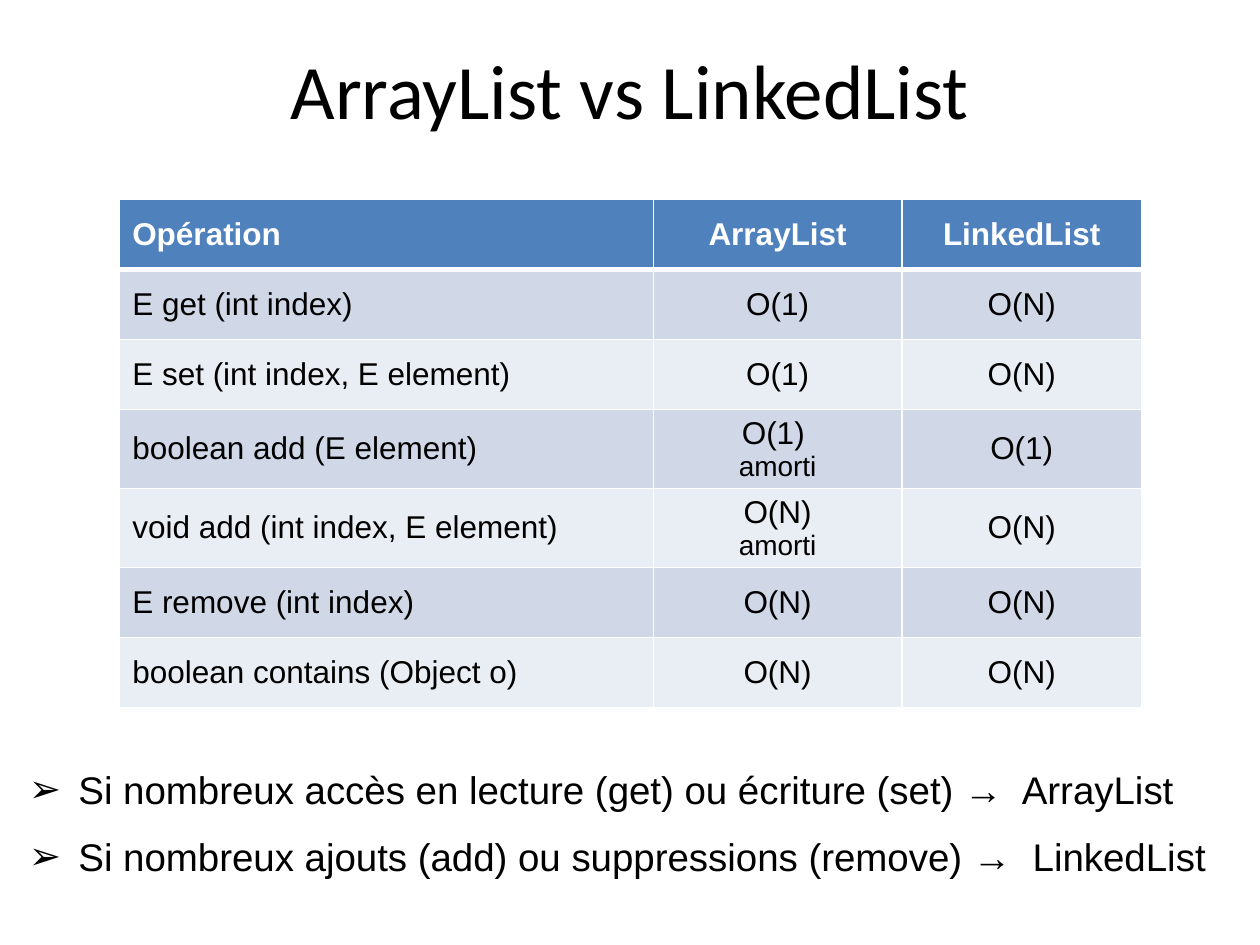
"""Build a slide that compares the costs of ArrayList and LinkedList."""
from dataclasses import dataclass

from lxml import etree
from pptx import Presentation
from pptx.dml.color import RGBColor
from pptx.enum.text import MSO_ANCHOR, MSO_AUTO_SIZE, PP_ALIGN
from pptx.oxml.ns import qn
from pptx.slide import Slide
from pptx.table import _Cell
from pptx.text.text import _Paragraph
from pptx.util import Pt

LEFT, CENTER = PP_ALIGN.LEFT, PP_ALIGN.CENTER
MIDDLE = MSO_ANCHOR.MIDDLE
GROW = MSO_AUTO_SIZE.SHAPE_TO_FIT_TEXT
TITLE_ONLY = 5


@dataclass(frozen=True)
class Theme:
    head_font: str = "Calibri"
    font: str = "Arial"
    black: str = "000000"
    white: str = "FFFFFF"
    blue: str = "4F81BD"
    bands: tuple[str, str] = ("D0D8E8", "E9EDF4")
    title: float = 44
    cell: float = 18
    note: float = 16
    point: float = 22
    thin: float = 1
    thick: float = 3


@dataclass(frozen=True)
class Cost:
    call: str
    array: str
    linked: str
    note: str = ""


@dataclass(frozen=True)
class Box:
    left: float
    top: float
    width: float
    height: float

    def lengths(self) -> tuple[Pt, Pt, Pt, Pt]:
        return Pt(self.left), Pt(self.top), Pt(self.width), Pt(self.height)


THEME = Theme()
TITLE_BOX = Box(36, 21.6, 648, 57.6)
TABLE_BOX = Box(68.4, 114, 584, 290)
POINT_BOX = Box(9.4, 434.2, 695.5, 72.7)
WIDTHS = (305, 142, 137)
ROW, TALL_ROW = 40, 45
INDENT, GAP = 28.35, 12

HEAD = Cost("Opération", "ArrayList", "LinkedList")
COSTS = (
    Cost("E get (int index)", "O(1)", "O(N)"),
    Cost("E set (int index, E element)", "O(1)", "O(N)"),
    Cost("boolean add (E element)", "O(1) ", "O(1)", "amorti"),
    Cost("void add (int index, E element)", "O(N)", "O(N)", "amorti"),
    Cost("E remove (int index)", "O(N)", "O(N)"),
    Cost("boolean contains (Object o)", "O(N)", "O(N)"),
)
POINTS = (
    "Si nombreux accès en lecture (get) ou écriture (set) →  ArrayList",
    "Si nombreux ajouts (add) ou suppressions (remove) →  LinkedList",
)


def add_run(para: _Paragraph, text: str, size: float, font: str = THEME.font,
            tint: str = THEME.black, bold: bool = False) -> None:
    """Add one styled run to a paragraph."""
    run = para.add_run()
    run.text = text
    run.font.name = font
    run.font.size = Pt(size)
    run.font.bold = bold
    run.font.color.rgb = RGBColor.from_string(tint)


def add_title(slide: Slide, text: str) -> None:
    """Place and fill the title."""
    title = slide.shapes.title
    title.left, title.top, title.width, title.height = TITLE_BOX.lengths()
    title.text_frame.vertical_anchor = MIDDLE
    para = title.text_frame.paragraphs[0]
    para.alignment = CENTER
    add_run(para, text, THEME.title, THEME.head_font)


def add_edges(cell: _Cell, top: float, base: float) -> None:
    """Draw white lines on the four sides of a cell."""
    props = cell._tc.get_or_add_tcPr()
    sides = {"a:lnL": THEME.thin, "a:lnR": THEME.thin, "a:lnT": top, "a:lnB": base}
    for tag, width in sides.items():
        line = etree.SubElement(props, qn(tag), w=str(Pt(width)))
        fill = etree.SubElement(line, qn("a:solidFill"))
        etree.SubElement(fill, qn("a:srgbClr"), val=THEME.white)


def add_costs(slide: Slide) -> None:
    """Add the table of costs."""
    rows = (HEAD, *COSTS)
    table = slide.shapes.add_table(len(rows), len(WIDTHS), *TABLE_BOX.lengths()).table
    for column, width in zip(table.columns, WIDTHS):
        column.width = Pt(width)
    for i, cost in enumerate(rows):
        head = i == 0
        table.rows[i].height = Pt(TALL_ROW if cost.note else ROW)
        top = THEME.thick if i == 1 else THEME.thin
        base = THEME.thick if head else THEME.thin
        shade = THEME.blue if head else THEME.bands[(i - 1) % 2]
        tint = THEME.white if head else THEME.black
        for j, text in enumerate((cost.call, cost.array, cost.linked)):
            cell = table.cell(i, j)
            add_edges(cell, top, base)
            cell.fill.solid()
            cell.fill.fore_color.rgb = RGBColor.from_string(shade)
            cell.vertical_anchor = MIDDLE
            para = cell.text_frame.paragraphs[0]
            para.alignment = CENTER if j else LEFT
            add_run(para, text, THEME.cell, tint=tint, bold=head)
            if j == 1 and cost.note:
                para.add_line_break()
                add_run(para, cost.note, THEME.note)


def add_points(slide: Slide) -> None:
    """Add the list of advice below the table."""
    frame = slide.shapes.add_textbox(*POINT_BOX.lengths()).text_frame
    frame.word_wrap = False
    frame.auto_size = GROW
    for i, text in enumerate(POINTS):
        para = frame.add_paragraph() if i else frame.paragraphs[0]
        para.alignment = LEFT
        para.space_after = Pt(GAP)
        props = para._p.get_or_add_pPr()
        props.set("marL", str(Pt(INDENT)))
        props.set("indent", str(-Pt(INDENT)))
        etree.SubElement(props, qn("a:buFont"), typeface=THEME.font)
        etree.SubElement(props, qn("a:buChar"), char="➢")
        add_run(para, text, THEME.point)


def main() -> None:
    """Build and save the slide."""
    deck = Presentation()
    deck.slide_width, deck.slide_height = Pt(720), Pt(540)
    slide = deck.slides.add_slide(deck.slide_layouts[TITLE_ONLY])
    add_title(slide, "ArrayList vs LinkedList")
    add_costs(slide)
    add_points(slide)
    deck.save("out.pptx")


if __name__ == "__main__":
    main()
